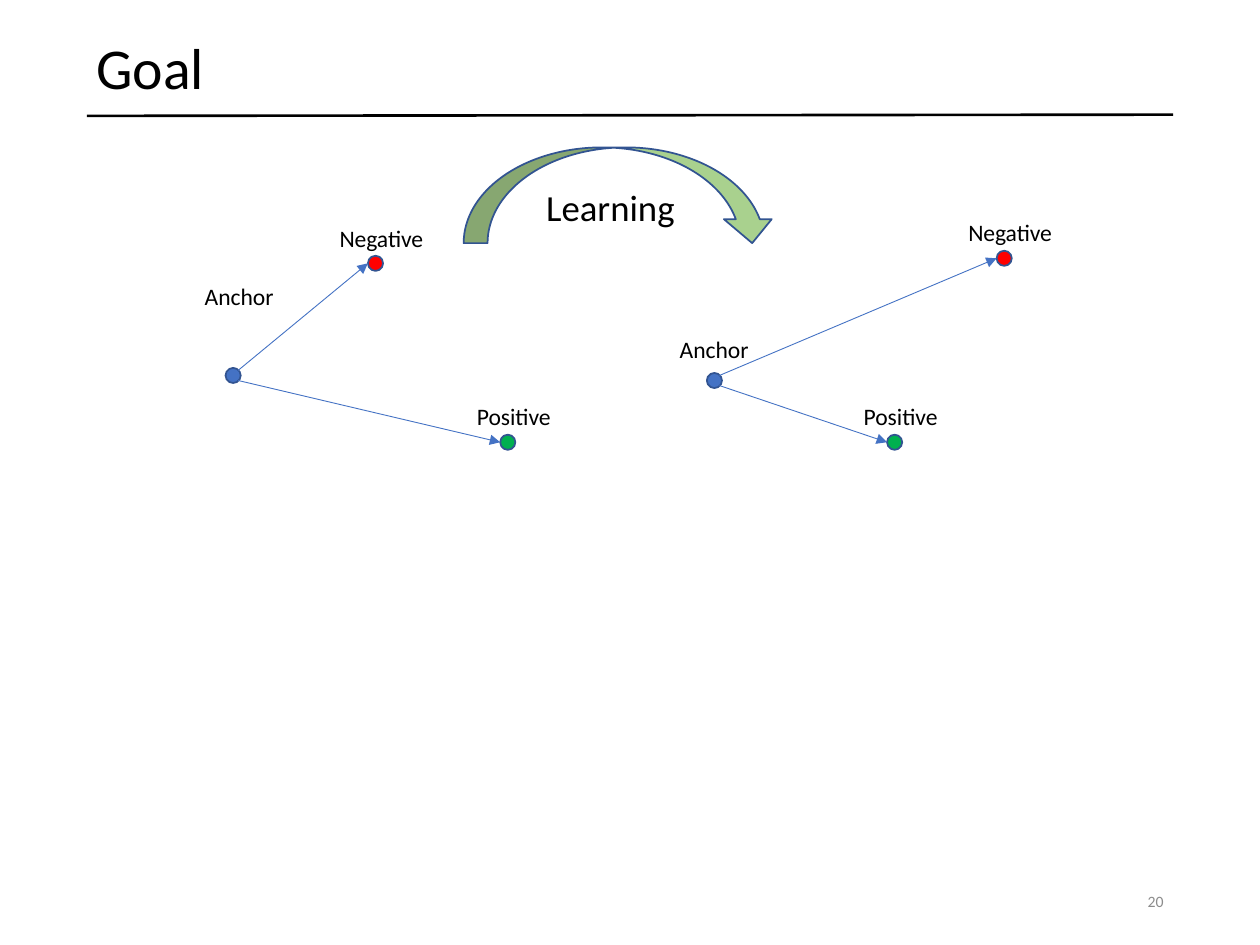
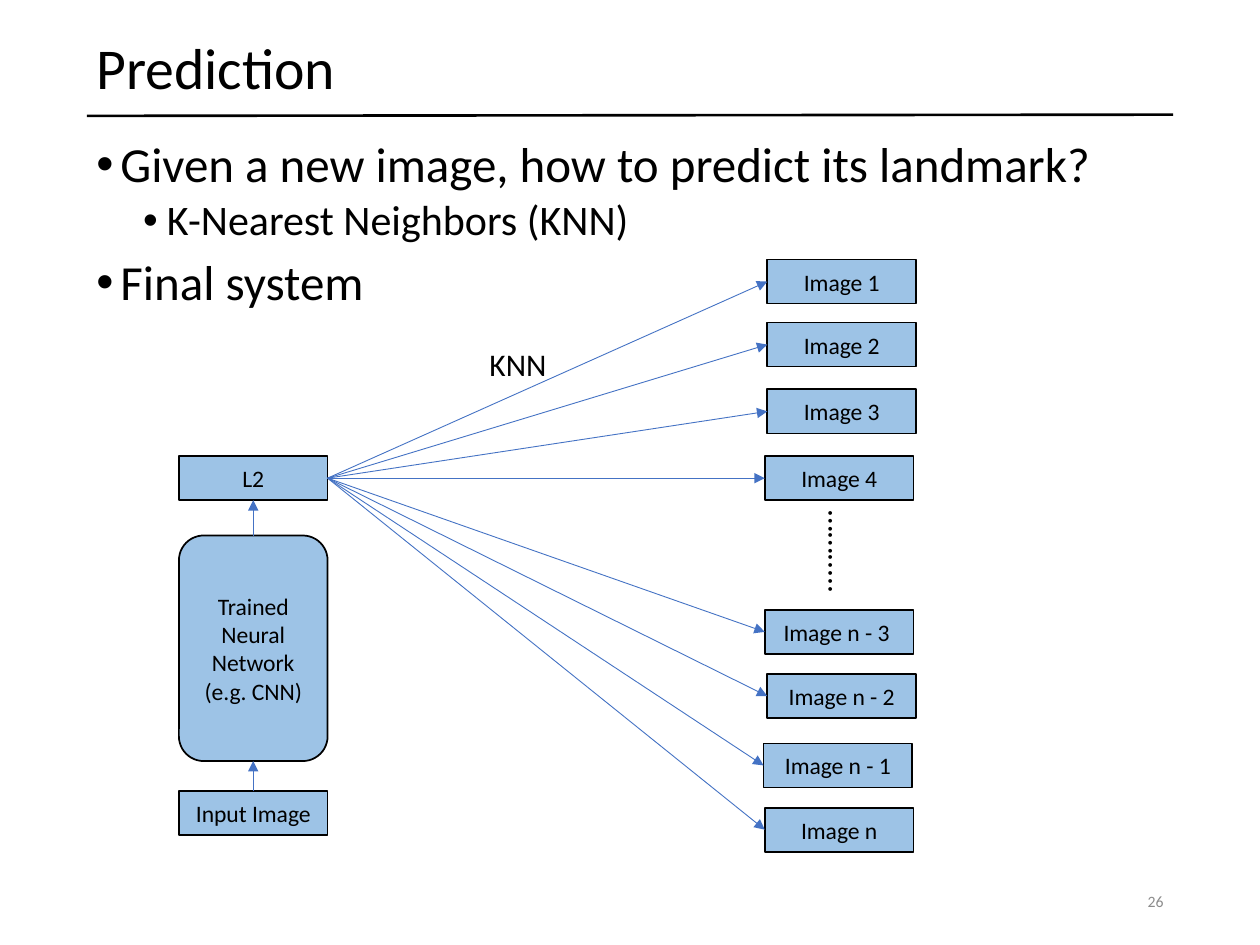
import pptx
import pptx.util
from lxml import etree
from pptx.dml.color import RGBColor
from pptx.enum.shapes import MSO_CONNECTOR, MSO_SHAPE
from pptx.enum.text import MSO_ANCHOR, MSO_AUTO_SIZE, PP_ALIGN
from pptx.oxml.ns import qn

Pt = pptx.util.Pt

FONT = "Calibri"
COLORS = {
    "ink": "000000",
    "page number": "8C8C8C",
    "arrow": "4472C4",
    "outline": "325491",
    "anchor": "4472C4",
    "negative": "FF0000",
    "positive": "00B050",
    "learning": "A9D18E",
    "block": "9DC3E6",
}

# The slide is a grid of 100 columns by 75 rows of square cells.
COLUMNS, ROWS = 100, 75
CELL = pptx.util.Inches(0.1)
MARGIN, CONTENT_WIDTH = 6.9, 86.2
DOT = 1.2
BLOCK_WIDTH, BLOCK_HEIGHT = 11.8, 3.5
LABEL_SIZE = 13.5
TITLE_ONLY, TITLE_AND_CONTENT = 5, 1


def cells(*counts):
    """Turn grid cells into slide lengths."""
    return [int(count * CELL) for count in counts]


def rgb(role):
    return RGBColor.from_string(COLORS[role])


def format_text(frame, size, role="ink", align=PP_ALIGN.LEFT,
                anchor=MSO_ANCHOR.TOP, side_inset=0.75):
    frame.word_wrap = True
    frame.auto_size = MSO_AUTO_SIZE.NONE
    frame.vertical_anchor = anchor
    frame.margin_left, frame.margin_right = cells(side_inset, side_inset)
    frame.margin_top, frame.margin_bottom = cells(0.5, 0.5)
    for paragraph in frame.paragraphs:
        paragraph.alignment = align
        for run in paragraph.runs:
            run.font.name = FONT
            run.font.size = Pt(size)
            run.font.color.rgb = rgb(role)


def move(placeholder, left, top, width, height):
    (placeholder.left, placeholder.top,
     placeholder.width, placeholder.height) = cells(left, top, width, height)


def add_label(slide, text, left, top, width, height, size=LABEL_SIZE, **style):
    label = slide.shapes.add_textbox(*cells(left, top, width, height))
    label.text_frame.text = text
    format_text(label.text_frame, size, **style)
    return label


def add_filled(slide, preset, left, top, width, height, fill, outline):
    shape = slide.shapes.add_shape(preset, *cells(left, top, width, height))
    shape.shadow.inherit = False
    shape.fill.solid()
    shape.fill.fore_color.rgb = rgb(fill)
    shape.line.color.rgb = rgb(outline)
    shape.line.width = Pt(1)
    return shape


def add_block(slide, text, left, top, height=BLOCK_HEIGHT,
              preset=MSO_SHAPE.RECTANGLE):
    block = add_filled(slide, preset, left, top, BLOCK_WIDTH, height,
                       "block", "ink")
    block.text_frame.text = text
    format_text(block.text_frame, LABEL_SIZE, align=PP_ALIGN.CENTER,
                anchor=MSO_ANCHOR.MIDDLE)


def add_line(slide, start, end, role, width):
    line = slide.shapes.add_connector(MSO_CONNECTOR.STRAIGHT,
                                      *cells(*start, *end))
    line.line.color.rgb = rgb(role)
    line.line.width = Pt(width)
    etree.SubElement(line.element.spPr, qn("a:effectLst"))
    return line


def add_arrow(slide, start, end):
    arrow = add_line(slide, start, end, "arrow", 0.5)
    outline = arrow.element.spPr.find(qn("a:ln"))
    etree.SubElement(outline, qn("a:tailEnd"), type="triangle")


def add_titled_slide(deck, layout, title, number):
    """Add a slide with the shared title, rule and page number."""
    slide = deck.slides.add_slide(deck.slide_layouts[layout])
    heading = slide.shapes.title
    move(heading, MARGIN, 2, CONTENT_WIDTH, 7.2)
    heading.text_frame.text = title
    format_text(heading.text_frame, 33, anchor=MSO_ANCHOR.MIDDLE)
    heading.text_frame.paragraphs[0].line_spacing = 0.9
    add_line(slide, (MARGIN, 9.2), (MARGIN + CONTENT_WIDTH, 9.1), "ink", 1.5)
    add_label(slide, str(number), 70.6, 69.5, 22.5, 4, size=9,
              role="page number", align=PP_ALIGN.RIGHT,
              anchor=MSO_ANCHOR.MIDDLE)
    return slide


def fill_bullets(body, items):
    """Write (level, text) items as a bulleted list."""
    body.text_frame.text = "\n".join(text for _, text in items)
    format_text(body.text_frame, 28)
    for (level, _), paragraph in zip(items, body.text_frame.paragraphs):
        paragraph.level = level
        paragraph.line_spacing = 0.9
        paragraph.space_before = Pt(3.8 if level else 7.5)
        paragraph.runs[0].font.size = Pt(24 if level else 28)
        properties = paragraph._p.get_or_add_pPr()
        indent, hanging = cells(1.9 + 3.7 * level, -1.9)
        properties.set("marL", str(indent))
        properties.set("indent", str(hanging))
        etree.SubElement(properties, qn("a:buFont"), typeface="Arial")
        etree.SubElement(properties, qn("a:buChar"), char="•")


def add_triplet(slide, dots, labels):
    """Draw an anchor with arrows to its negative and positive samples."""
    for role, (left, top) in dots.items():
        add_filled(slide, MSO_SHAPE.OVAL, left, top, DOT, DOT, role, "outline")
        add_label(slide, role.capitalize(), *labels[role], 9.3, 3.3,
                  side_inset=0.85)
    anchor_left, anchor_top = dots["anchor"]
    for role, exit_drop in (("negative", 0.2), ("positive", 1)):
        left, top = dots[role]
        add_arrow(slide, (anchor_left + 1, anchor_top + exit_drop),
                  (left, top + DOT / 2))


def build_goal(deck):
    slide = add_titled_slide(deck, TITLE_ONLY, "Goal", 20)
    add_triplet(
        slide,
        {"anchor": (17.9, 29.2), "negative": (29.2, 20.3),
         "positive": (39.7, 34.5)},
        {"anchor": (15.4, 21.9), "negative": (26.1, 17.3),
         "positive": (37, 31.4)})
    add_filled(slide, MSO_SHAPE.CURVED_DOWN_ARROW, 36.8, 11.7, 24.8, 7.6,
               "learning", "outline")
    add_triplet(
        slide,
        {"anchor": (56.1, 29.6), "negative": (79.1, 19.9),
         "positive": (70.4, 34.5)},
        {"anchor": (53.1, 26.1), "negative": (76, 16.8),
         "positive": (67.7, 31.4)})
    add_label(slide, "Learning", 40.3, 14.2, 16.3, 4.5, size=21,
              align=PP_ALIGN.CENTER)


def build_prediction(deck):
    slide = add_titled_slide(deck, TITLE_AND_CONTENT, "Prediction", 26)
    body = slide.placeholders[1]
    move(body, MARGIN, 10.6, CONTENT_WIDTH, 57)
    fill_bullets(body, [
        (0, "Given a new image, how to predict its landmark?"),
        (1, "K-Nearest Neighbors (KNN)"),
        (0, "Final system"),
    ])

    network_left, network_top, network_height = 14.2, 42.5, 17.9
    input_top, distance_top = 62.8, 36.2
    add_block(slide, "Trained Neural Network\n(e.g. CNN)", network_left,
              network_top, network_height, MSO_SHAPE.ROUNDED_RECTANGLE)
    add_block(slide, "Input Image", network_left, input_top)
    add_block(slide, "L2", network_left, distance_top)
    middle = network_left + BLOCK_WIDTH / 2
    add_arrow(slide, (middle, network_top),
              (middle, distance_top + BLOCK_HEIGHT))
    add_arrow(slide, (middle, input_top),
              (middle, network_top + network_height))

    gallery = [
        ("Image 1", 60.9, 20.6), ("Image 2", 60.9, 25.6),
        ("Image 3", 60.9, 30.9), ("Image 4", 60.7, 36.2),
        ("Image n - 3 ", 60.7, 48.4), ("Image n - 2", 60.9, 53.5),
        ("Image n - 1", 60.6, 59), ("Image n", 60.7, 64.1),
    ]
    half = BLOCK_HEIGHT / 2
    for name, left, top in gallery:
        add_block(slide, name, left, top)
        add_arrow(slide, (network_left + BLOCK_WIDTH, distance_top + half),
                  (left, top + half))
    skipped = add_label(slide, "…….....", 62.4, 42.1, 8.7, 4, size=18)
    skipped.rotation = 90
    add_label(slide, "KNN", 38.1, 26.9, 7, 4, size=18)


def main():
    deck = pptx.Presentation()
    deck.slide_width, deck.slide_height = cells(COLUMNS, ROWS)
    build_goal(deck)
    build_prediction(deck)
    deck.save("out.pptx")


if __name__ == "__main__":
    main()
